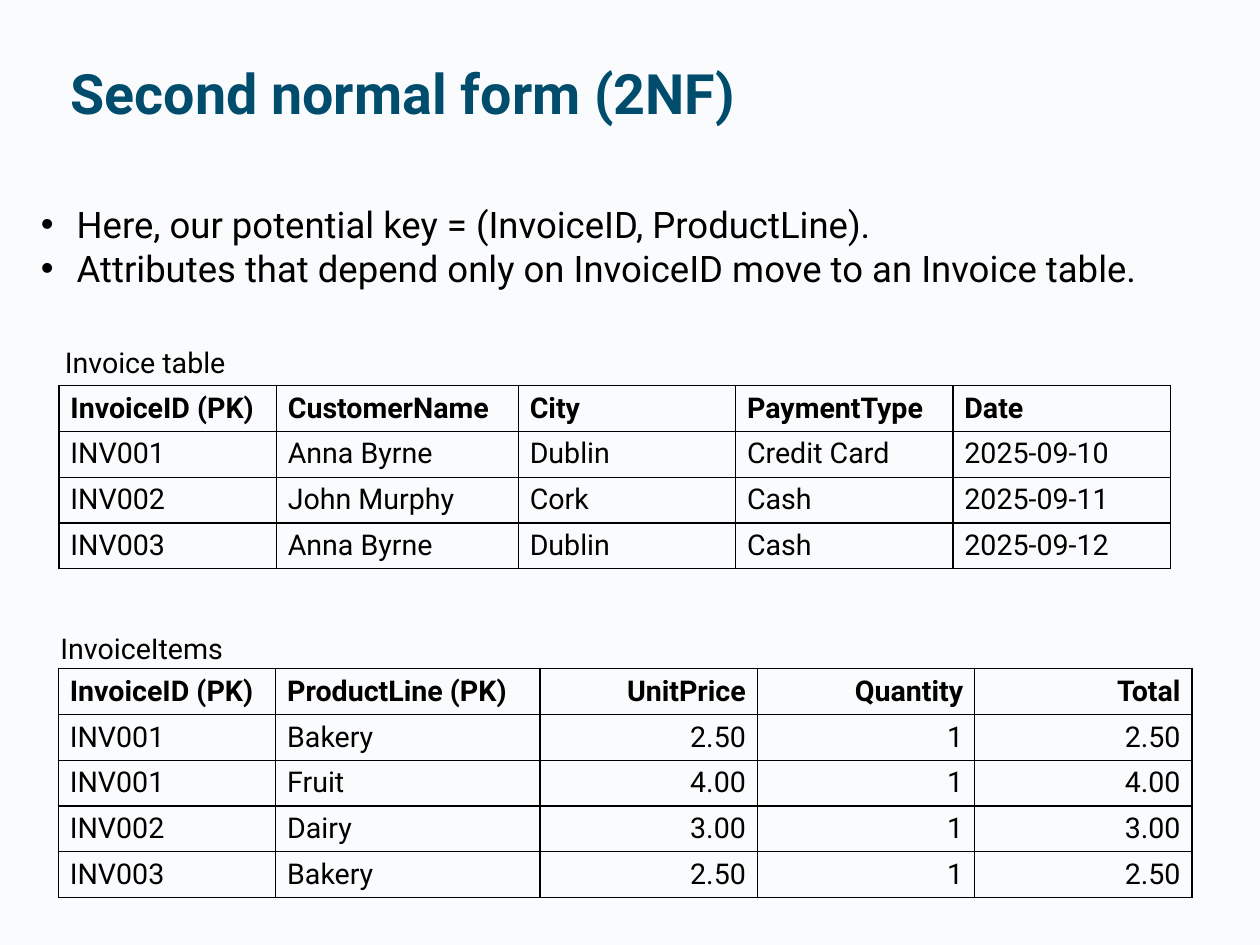
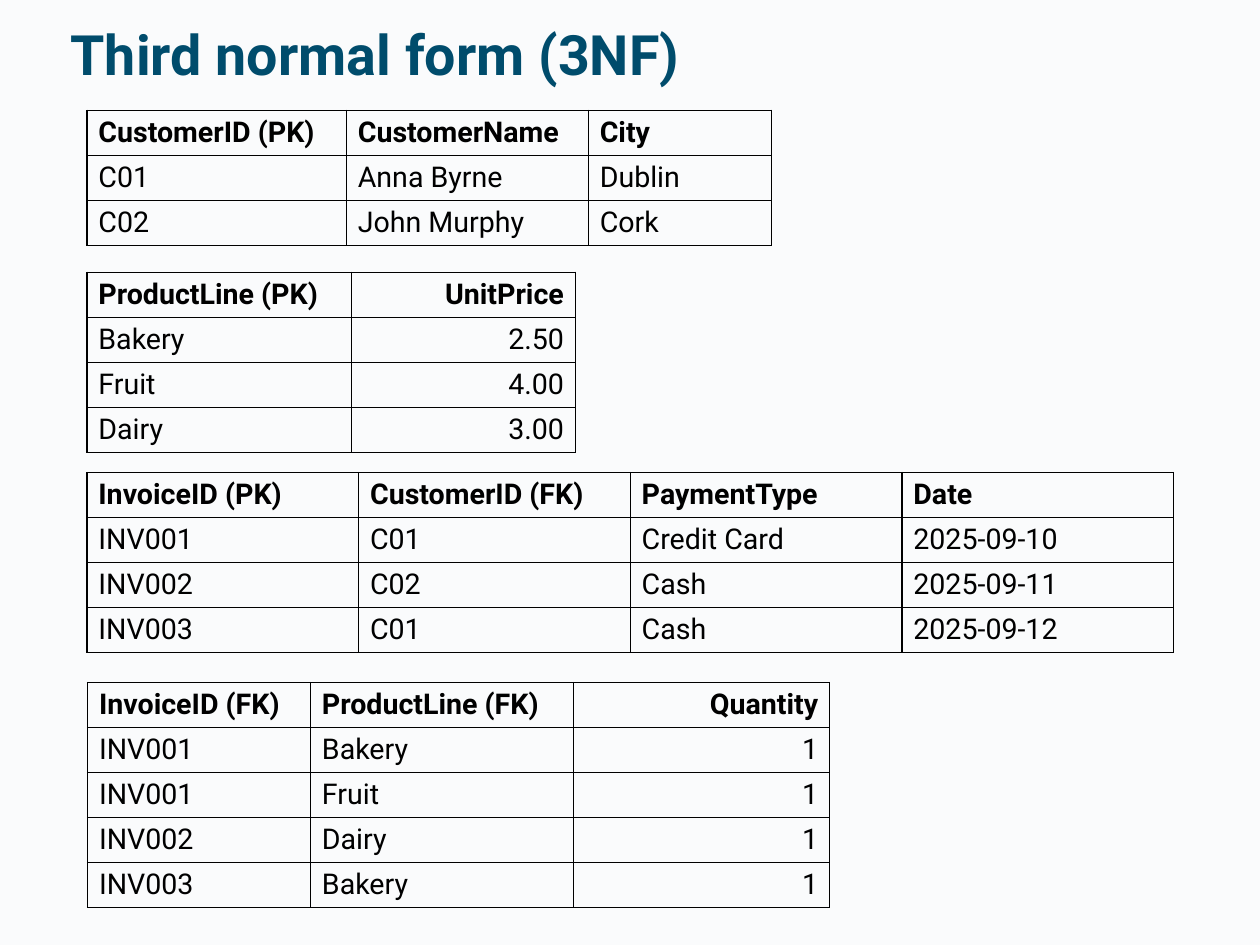
from dataclasses import dataclass

from lxml import etree
from pptx import Presentation
from pptx.dml.color import RGBColor
from pptx.enum.text import MSO_ANCHOR, PP_ALIGN
from pptx.oxml.ns import qn
from pptx.util import Pt

MIDDLE = MSO_ANCHOR.MIDDLE
LEFT, RIGHT = PP_ALIGN.LEFT, PP_ALIGN.RIGHT


@dataclass(frozen=True)
class Theme:
    font: str = "Roboto"
    back: str = "FAFBFC"
    accent: str = "004C6C"
    ink: str = "000000"
    title: int = 35
    body: int = 23
    small: int = 18
    indent: float = 22.5
    rule: int = 1
    pad: float = 3.3


THEME = Theme()


def style(para, size, color=THEME.ink, bold=False):
    for run in para.runs:
        font = run.font
        font.name, font.size, font.bold = THEME.font, Pt(size), bold
        font.color.rgb = RGBColor.from_string(color)


def add_text(slide, box, text, size, color=THEME.ink, bold=False):
    frame = slide.shapes.add_textbox(*map(Pt, box)).text_frame
    frame.word_wrap = True
    frame.text = text
    for para in frame.paragraphs:
        style(para, size, color, bold)
    return frame


def add_title(slide, text, height):
    frame = add_text(slide, (37.4, 8.6, 719.3, height), text,
                     THEME.title, THEME.accent, True)
    frame.vertical_anchor = MIDDLE
    frame.paragraphs[0].line_spacing = 0.9


def add_bullets(slide, box, lines):
    frame = add_text(slide, box, "\n".join(lines), THEME.body)
    for para in frame.paragraphs:
        props = para._p.get_or_add_pPr()
        props.set("marL", str(Pt(THEME.indent)))
        props.set("indent", str(-Pt(THEME.indent)))
        etree.SubElement(props, qn("a:buFont")).set("typeface", "Arial")
        etree.SubElement(props, qn("a:buChar")).set("char", "•")


def add_border(cell):
    props = cell._tc.get_or_add_tcPr()
    for side in ("lnL", "lnR", "lnT", "lnB"):
        line = etree.SubElement(props, qn("a:" + side))
        line.set("w", str(Pt(THEME.rule)))
        fill = etree.SubElement(line, qn("a:solidFill"))
        etree.SubElement(fill, qn("a:srgbClr")).set("val", THEME.ink)


def add_grid(slide, left, top, widths, height, rows, texts):
    """Draw a ruled table; the first `texts` columns align left, the rest right."""
    table = slide.shapes.add_table(
        len(rows), len(widths), Pt(left), Pt(top),
        Pt(sum(widths)), Pt(height * len(rows))).table
    table.first_row = table.horz_banding = False
    for col, width in zip(table.columns, widths):
        col.width = Pt(width)
    for r, values in enumerate(rows):
        table.rows[r].height = Pt(height)
        for c, value in enumerate(values):
            cell = table.cell(r, c)
            add_border(cell)
            cell.fill.background()
            cell.vertical_anchor = MIDDLE
            cell.margin_top = cell.margin_bottom = Pt(THEME.pad)
            cell.text = value
            para = cell.text_frame.paragraphs[0]
            para.alignment = LEFT if c < texts else RIGHT
            style(para, THEME.small, bold=r == 0)


PEOPLE = {"C01": ("Anna Byrne", "Dublin"), "C02": ("John Murphy", "Cork")}
PRICES = {"Bakery": "2.50", "Fruit": "4.00", "Dairy": "3.00"}
BILLS = [
    ("INV001", "C01", "Credit Card", "2025-09-10"),
    ("INV002", "C02", "Cash", "2025-09-11"),
    ("INV003", "C01", "Cash", "2025-09-12"),
]
ITEMS = [
    ("INV001", "Bakery", "1"),
    ("INV001", "Fruit", "1"),
    ("INV002", "Dairy", "1"),
    ("INV003", "Bakery", "1"),
]


def second_form(slide):
    add_title(slide, "Second normal form (2NF)", 104.4)
    add_bullets(slide, (18.7, 123.8, 756, 63.4), [
        "Here, our potential key = (InvoiceID, ProductLine).",
        "Attributes that depend only on InvoiceID move to an Invoice table.",
    ])
    height, col = 28.85, 136.9
    add_text(slide, (33.8, 213.8, 360, 28.8), "Invoice table", THEME.small)
    bills = [("InvoiceID (PK)", "CustomerName", "City", "PaymentType", "Date")]
    bills += [(bill, *PEOPLE[who], pay, day) for bill, who, pay, day in BILLS]
    add_grid(slide, 37.2, 242.8, [col, 152.4, col, col, col], height, bills, 5)

    add_text(slide, (31, 393.8, 360, 28.8), "InvoiceItems", THEME.small)
    items = [("InvoiceID (PK)", "ProductLine (PK)", "UnitPrice", "Quantity", "Total")]
    items += [(bill, line, PRICES[line], count, PRICES[line])
              for bill, line, count in ITEMS]
    add_grid(slide, 36.8, 421, [col, 166.4, col, col, col], height, items, 2)


def third_form(slide):
    add_title(slide, "Third normal form (3NF)", 54.7)
    people = [("CustomerID (PK)", "CustomerName", "City")]
    people += [(key, *who) for key, who in PEOPLE.items()]
    prices = [("ProductLine (PK)", "UnitPrice"), *PRICES.items()]
    bills = [("InvoiceID (PK)", "CustomerID (FK)", "PaymentType", "Date"), *BILLS]
    items = [("InvoiceID (FK)", "ProductLine (FK)", "Quantity"), *ITEMS]
    for left, top, widths, rows, texts in (
        (54.8, 69.5, [163.4, 152.4, 115.2], people, 3),
        (54.8, 171.5, [166.4, 141.2], prices, 1),
        (54.8, 297.5, [171.1] * 4, bills, 4),
        (55.2, 429.7, [140.4, 165.6, 161.4], items, 2),
    ):
        add_grid(slide, left, top, widths, 28.35, rows, texts)


def main():
    prs = Presentation()
    prs.slide_width, prs.slide_height = Pt(793.6), Pt(595)
    fill = prs.slide_master.background.fill
    fill.solid()
    fill.fore_color.rgb = RGBColor.from_string(THEME.back)
    for build in (second_form, third_form):
        build(prs.slides.add_slide(prs.slide_layouts[6]))
    prs.save("out.pptx")


if __name__ == "__main__":
    main()
